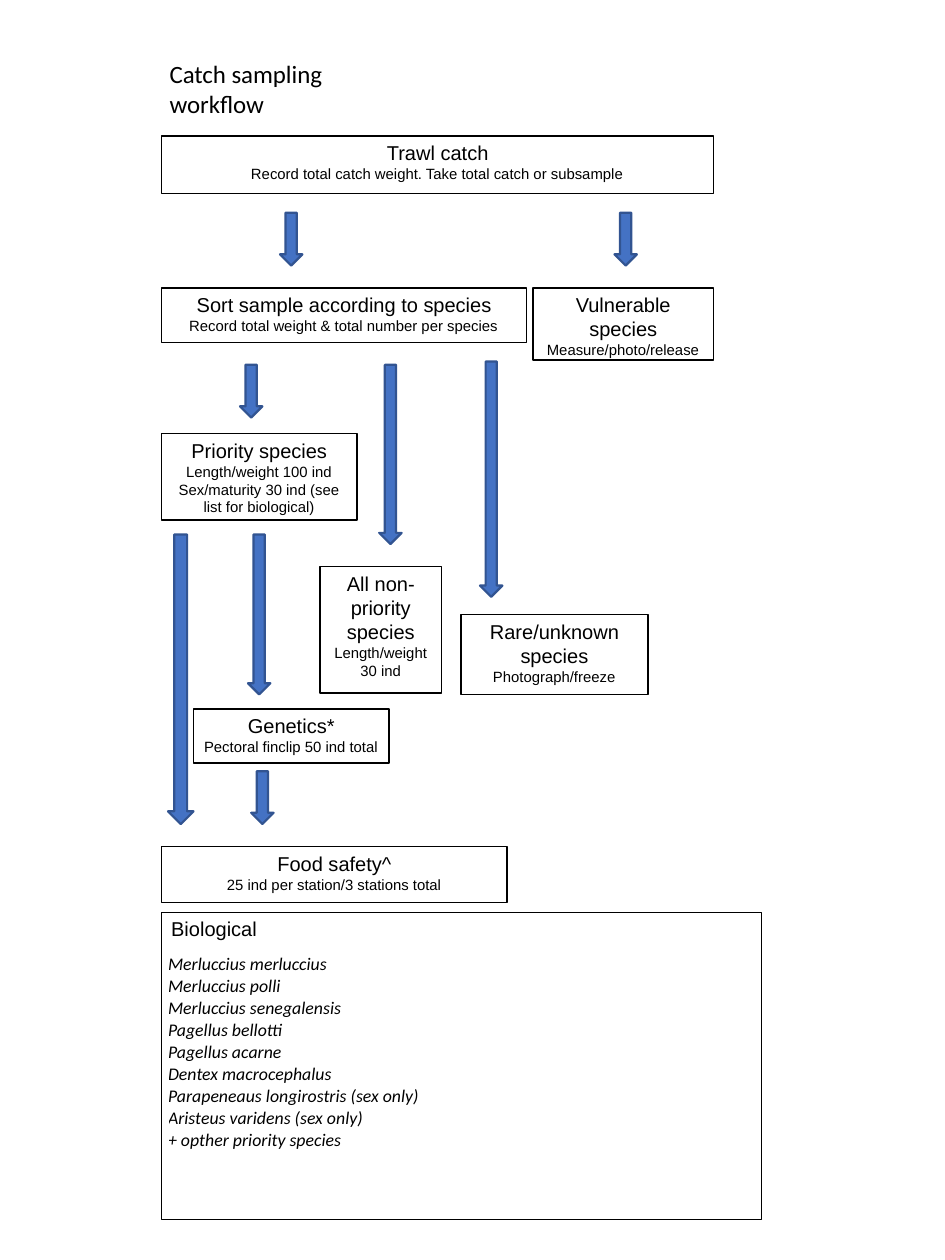
from lxml.etree import SubElement
from pptx import Presentation
from pptx.dml.color import RGBColor
from pptx.enum.shapes import MSO_SHAPE
from pptx.enum.text import MSO_ANCHOR, MSO_AUTO_SIZE, PP_ALIGN
from pptx.oxml.ns import qn
from pptx.util import Inches, Pt

BLACK = RGBColor(0x00, 0x00, 0x00)
WHITE = RGBColor(0xFF, 0xFF, 0xFF)
BLUE = RGBColor(0x44, 0x72, 0xC4)
DARK_BLUE = RGBColor(0x32, 0x54, 0x91)

CM_PER_INCH = 2.54
PAGE_WIDTH = 15 / CM_PER_INCH
PAGE_HEIGHT = 20 / CM_PER_INCH

TITLE = "Catch sampling workflow"
TITLE_AREA = (1, 0.25, 1.7, 0.61)
STEPS = [
    ("Trawl catch", ["Record total catch weight. Take total catch or subsample"],
     (1.01, 0.85, 3.45, 0.36)),
    ("Sort sample according to species", ["Record total weight & total number per species"],
     (1.01, 1.8, 2.28, 0.34)),
    ("Vulnerable species", ["Measure/photo/release"], (3.33, 1.8, 1.13, 0.45)),
    ("Priority species",
     ["Length/weight 100 ind", "Sex/maturity 30 ind (see list for biological)"],
     (1.01, 2.71, 1.22, 0.54)),
    ("All non-priority species", ["Length/weight 30 ind"], (2, 3.54, 0.76, 0.79)),
    ("Rare/unknown species", ["Photograph/freeze"], (2.88, 3.84, 1.17, 0.5)),
    ("Genetics*", ["Pectoral finclip 50 ind total"], (1.21, 4.43, 1.22, 0.34)),
    ("Food safety^", ["25 ind per station/3 stations total"], (1.01, 5.29, 2.16, 0.35)),
]
ARROWS = [
    (1.75, 1.33, 0.14, 0.33),
    (3.84, 1.33, 0.14, 0.33),
    (1.5, 2.28, 0.14, 0.33),
    (2.37, 2.28, 0.14, 1.12),
    (3, 2.26, 0.14, 1.47),
    (1.05, 3.34, 0.16, 1.81),
    (1.55, 3.34, 0.14, 1),
    (1.57, 4.82, 0.14, 0.33),
]
BIOLOGICAL = "Biological"
BIOLOGICAL_AREA = (1.01, 5.7, 3.75, 1.92)
SPECIES = [
    "Merluccius merluccius",
    "Merluccius polli",
    "Merluccius senegalensis",
    "Pagellus bellotti",
    "Pagellus acarne",
    "Dentex macrocephalus",
    "Parapeneaus longirostris (sex only) Aristeus varidens (sex only)",
    "+ opther priority species",
    "",
]
SPECIES_AREA = (1.05, 5.96, 3.41, 1.36)
SPECIES_COLUMNS = 2
SPECIES_LINES = len(SPECIES) + 1


def write(paragraph, text, size=9, font="Arial", italic=False, align=PP_ALIGN.LEFT):
    paragraph.alignment = align
    if not text:
        SubElement(paragraph._p, qn("a:endParaRPr"), sz=str(int(size * 100)))
        return
    run = paragraph.add_run()
    run.text = text
    run.font.size = Pt(size)
    run.font.name = font
    run.font.bold = False
    run.font.italic = italic
    run.font.color.rgb = BLACK


def set_insets(frame, right=0.06):
    frame.margin_left, frame.margin_right = Inches(0.06), Inches(right)
    frame.margin_top = frame.margin_bottom = Inches(0.03)
    frame.word_wrap = True
    frame.auto_size = MSO_AUTO_SIZE.NONE


def add_block(slide, preset, area, fill, outline, weight):
    block = slide.shapes.add_shape(preset, *map(Inches, area))
    block.shadow.inherit = False
    block.fill.solid()
    block.fill.fore_color.rgb = fill
    block.line.color.rgb = outline
    block.line.width = Pt(weight)
    return block


def add_step(slide, heading, details, area, weight=0.75, align=PP_ALIGN.CENTER):
    step = add_block(slide, MSO_SHAPE.RECTANGLE, area, WHITE, BLACK, weight)
    frame = step.text_frame
    set_insets(frame)
    frame.vertical_anchor = MSO_ANCHOR.TOP
    write(frame.paragraphs[0], heading, align=align)
    for detail in details:
        write(frame.add_paragraph(), detail, size=6.7, align=align)


def add_title(slide):
    title = slide.shapes.title
    title.left, title.top, title.width, title.height = map(Inches, TITLE_AREA)
    set_insets(title.text_frame, right=0.3)
    title.text_frame.vertical_anchor = MSO_ANCHOR.MIDDLE
    write(title.text_frame.paragraphs[0], TITLE, size=11.2, font="Calibri")


def add_species(slide):
    species_grid = slide.shapes.add_table(
        len(SPECIES), SPECIES_COLUMNS, *map(Inches, SPECIES_AREA)).table
    for row, species in zip(species_grid.rows, SPECIES):
        row.height = Inches(SPECIES_AREA[3] / SPECIES_LINES)
        for cell, text in zip(row.cells, (species, "")):
            cell.fill.background()
            cell.margin_left = cell.margin_right = 0
            cell.margin_top = cell.margin_bottom = 0
            write(cell.text_frame.paragraphs[0], text, size=8, font="Calibri", italic=True)


def main():
    deck = Presentation()
    deck.slide_width, deck.slide_height = Inches(PAGE_WIDTH), Inches(PAGE_HEIGHT)
    deck.element.find(qn("p:sldSz")).attrib.pop("type", None)
    slide = deck.slides.add_slide(deck.slide_layouts[5])
    add_title(slide)
    for heading, details, area in STEPS:
        add_step(slide, heading, details, area)
    for area in ARROWS:
        add_block(slide, MSO_SHAPE.DOWN_ARROW, area, BLUE, DARK_BLUE, 1)
    add_step(slide, BIOLOGICAL, [], BIOLOGICAL_AREA, weight=0.5, align=PP_ALIGN.LEFT)
    add_species(slide)
    deck.save("out.pptx")


if __name__ == "__main__":
    main()
